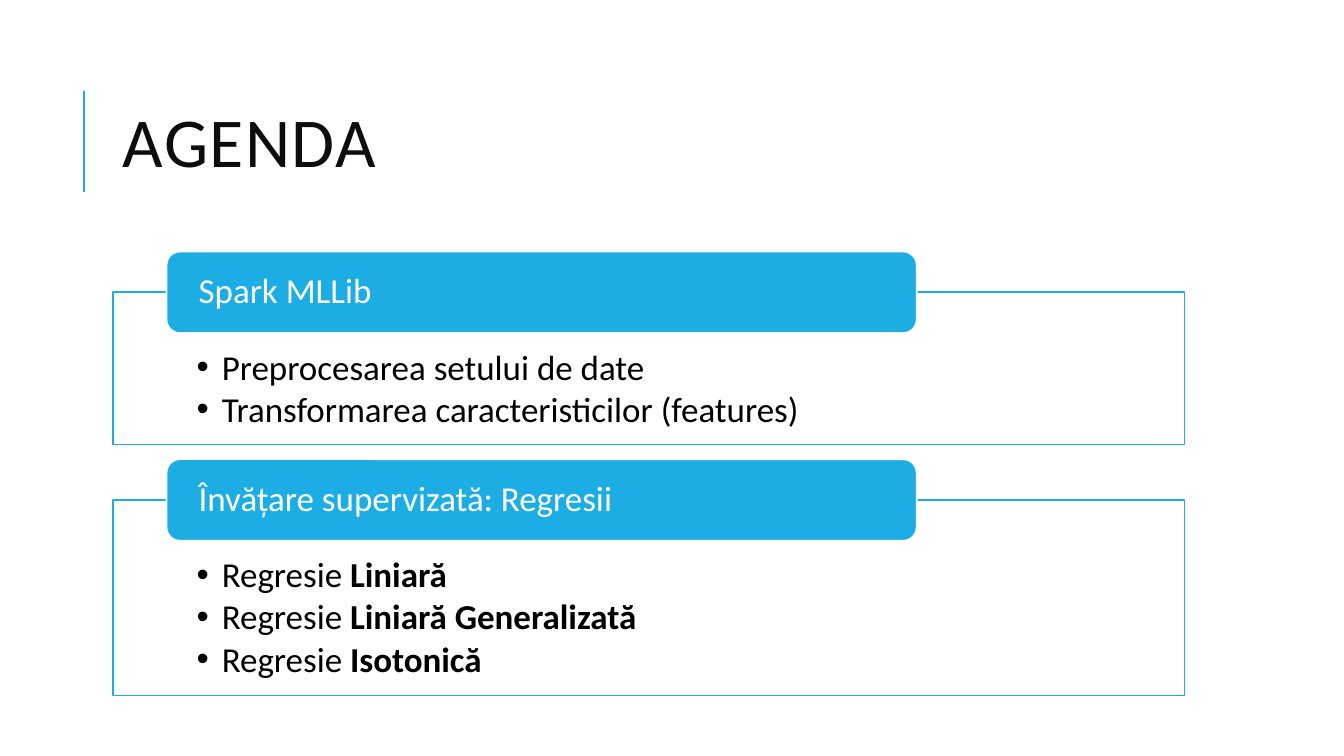
"""Build the agenda slide: a title above two headed panels of bullet points."""
from lxml import etree
from pptx import Presentation
from pptx.dml.color import RGBColor
from pptx.enum.shapes import MSO_CONNECTOR, MSO_SHAPE
from pptx.enum.text import MSO_ANCHOR, PP_ALIGN
from pptx.oxml.ns import qn
from pptx.util import Inches, Pt

ACCENT, WHITE, BLACK, INK = "1CADE4", "FFFFFF", "000000", "0D0D0D"
LEFT, WIDTH = 1.12, 10.63
TAB_LEFT, TAB_WIDTH, TAB_HEIGHT = LEFT + 0.05 * WIDTH, 0.7 * WIDTH, 0.81
SECTIONS = [
    ("Spark MLLib", 2.9, 1.51, [
        ("Preprocesarea setului de date", ""),
        ("Transformarea caracteristicilor (features)", "")]),
    ("Învățare supervizată: Regresii", 4.96, 1.94, [
        ("Regresie ", "Liniară"),
        ("Regresie ", "Liniară Generalizată"),
        ("Regresie ", "Isotonică")]),
]


def color(value):
    return RGBColor.from_string(value)


def add_box(kind, box, fill, line, insets, anchor):
    sp = s.shapes.add_shape(kind, *[Inches(v) for v in box])
    sp.shadow.inherit = False
    sp.fill.solid()
    sp.fill.fore_color.rgb = color(fill)
    sp.line.color.rgb = color(line)
    sp.line.width = Pt(1.25)
    tf = sp.text_frame
    tf.word_wrap = True
    tf.vertical_anchor = anchor
    tf.margin_left = tf.margin_right = Inches(insets[0])
    tf.margin_top, tf.margin_bottom = Inches(insets[1]), Inches(insets[2])
    return tf


prs = Presentation()
prs.slide_width, prs.slide_height = Inches(13.33), Inches(7.5)
s = prs.slides.add_slide(prs.slide_layouts[6])

rule = s.shapes.add_connector(
    MSO_CONNECTOR.STRAIGHT, Inches(0.83), Inches(1.9), Inches(0.83), Inches(0.9))
rule.line.color.rgb = color(ACCENT)
rule.line.width = Pt(1.5)
etree.SubElement(rule.element.spPr, qn("a:effectLst"))

title = s.shapes.add_textbox(Inches(LEFT), Inches(0.64), Inches(WIDTH), Inches(1.64))
tf = title.text_frame
tf.word_wrap = True
tf.vertical_anchor = MSO_ANCHOR.MIDDLE
tf.text = "AGENDA"
p = tf.paragraphs[0]
p.line_spacing = 0.8
r = p.runs[0]
r.font.name, r.font.size = "Calibri", Pt(50)
r.font.color.rgb = color(INK)
r.font._element.set("spc", "100")

for heading, top, height, points in SECTIONS:
    tf = add_box(MSO_SHAPE.RECTANGLE, (LEFT, top, WIDTH, height),
                 WHITE, ACCENT, (0.83, 0.57, 0.19), MSO_ANCHOR.TOP)
    for i, (plain, bold) in enumerate(points):
        p = tf.add_paragraph() if i else tf.paragraphs[0]
        p.text = plain
        if bold:
            r = p.add_run()
            r.text = bold
            r.font.bold = True
        p.alignment = PP_ALIGN.LEFT
        p.line_spacing = 0.9
        p.space_after = Pt(3.25)
        pPr = p._p.get_or_add_pPr()
        pPr.set("marL", str(Inches(0.25)))
        pPr.set("indent", str(-Inches(0.25)))
        etree.SubElement(pPr, qn("a:buFont")).set("typeface", "Arial")
        etree.SubElement(pPr, qn("a:buChar")).set("char", "•")
        for r in p.runs:
            r.font.name, r.font.size = "Calibri", Pt(25)
            r.font.color.rgb = color(BLACK)

    tf = add_box(MSO_SHAPE.ROUNDED_RECTANGLE,
                 (TAB_LEFT, top - TAB_HEIGHT / 2, TAB_WIDTH, TAB_HEIGHT),
                 ACCENT, WHITE, (0.28, 0, 0), MSO_ANCHOR.MIDDLE)
    tf.text = heading
    p = tf.paragraphs[0]
    p.alignment = PP_ALIGN.LEFT
    p.line_spacing = 0.9
    r = p.runs[0]
    r.font.name, r.font.size = "Calibri", Pt(25)
    r.font.color.rgb = color(WHITE)

prs.save("out.pptx")
